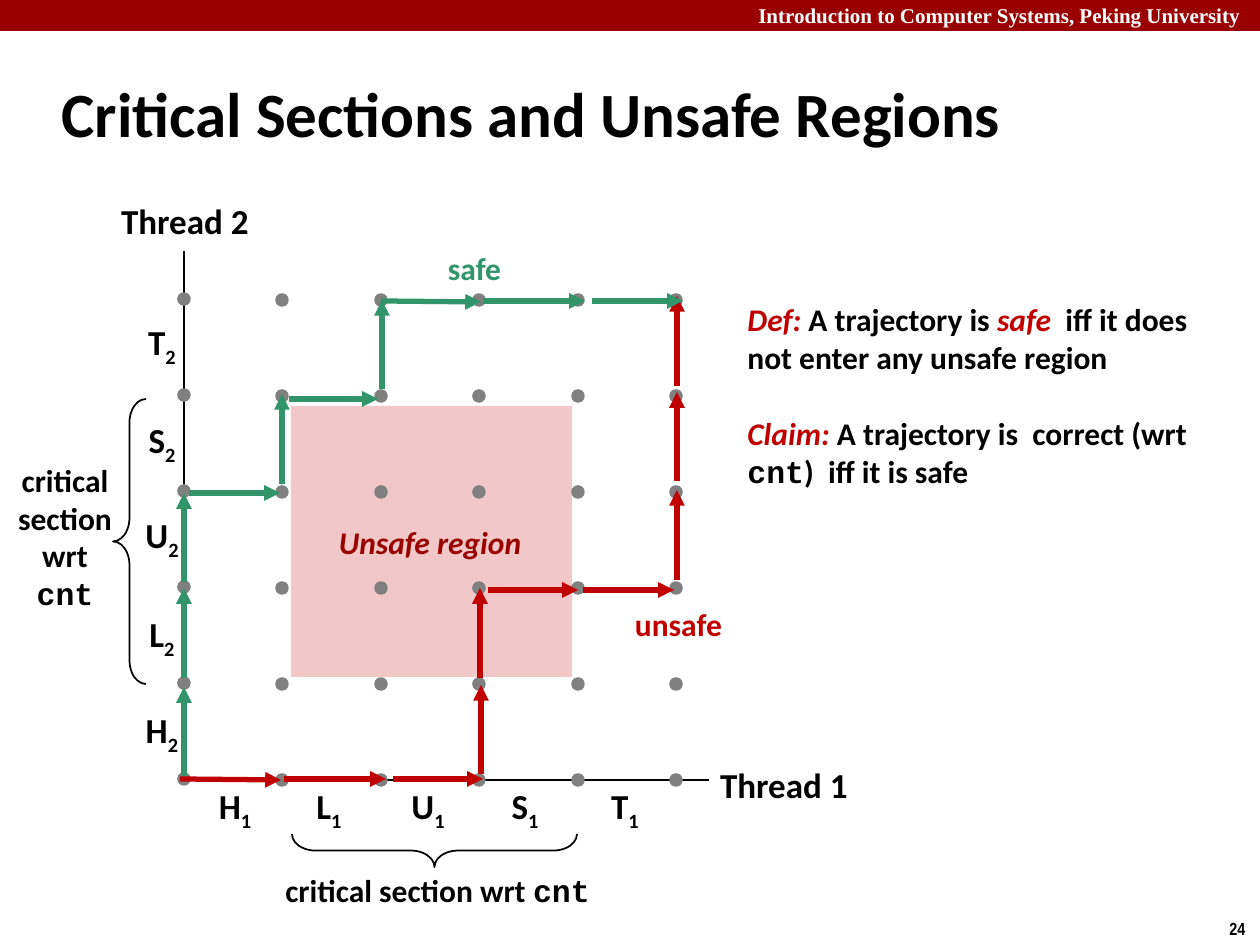
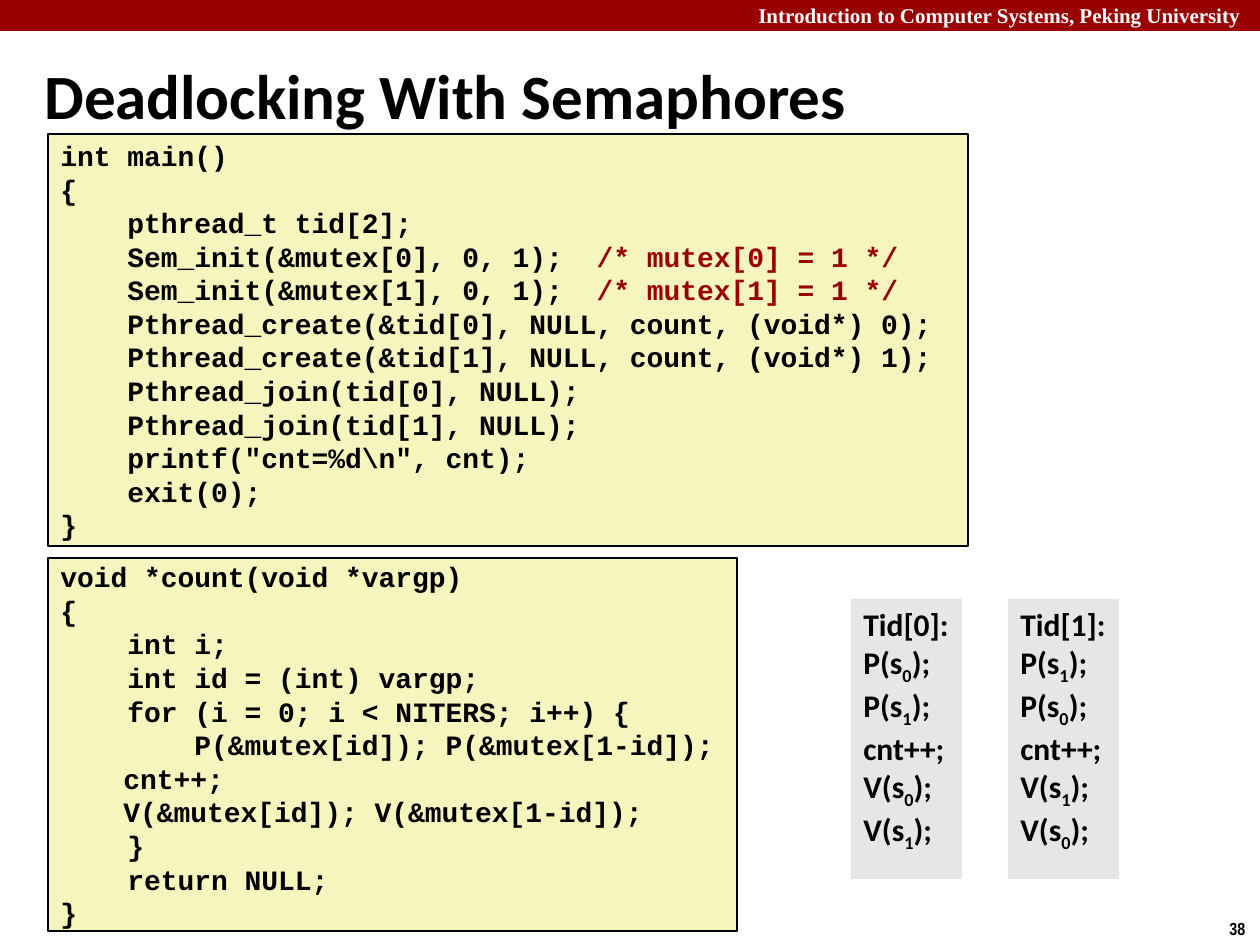
import dataclasses
import pptx
import pptx.util
import pptx.dml.color
import pptx.enum.shapes
import pptx.enum.text
import pptx.oxml
import pptx.oxml.ns
import lxml.etree

SCALE = 914400 / 126
KIND = pptx.enum.shapes.MSO_SHAPE
ALIGN = pptx.enum.text.PP_ALIGN
ANCHOR = pptx.enum.text.MSO_ANCHOR
FIT = pptx.enum.text.MSO_AUTO_SIZE


@dataclasses.dataclass(frozen=True)
class Theme:
    black: str = "000000"
    white: str = "FFFFFF"
    band: str = "990000"
    red: str = "C00000"
    green: str = "32946A"
    dot: str = "808080"
    zone: str = "F1C7C7"
    code: str = "F6F5BD"
    card: str = "E6E6E6"
    sans: str = "Calibri"
    mono: str = "Courier New"
    serif: str = "Times New Roman"
    thin: str = "Arial Narrow"
    title: int = 36
    label: int = 20
    body: int = 18
    list: int = 16
    head: int = 12
    page: int = 10


T = Theme()
BASE = {"name": T.sans, "size": T.body, "bold": True, "color": T.black}
MONO = {"name": T.mono}
SUB = {"base": -25000}
TERM = {"color": T.red, "italic": True}

MAIN = [
    "int main()",
    "{",
    "    pthread_t tid[2];",
    "    Sem_init(&mutex[0], 0, 1);  /* mutex[0] = 1 */",
    "    Sem_init(&mutex[1], 0, 1);  /* mutex[1] = 1 */",
    "    Pthread_create(&tid[0], NULL, count, (void*) 0);",
    "    Pthread_create(&tid[1], NULL, count, (void*) 1);",
    "    Pthread_join(tid[0], NULL);",
    "    Pthread_join(tid[1], NULL);",
    "    printf(\"cnt=%d\\n\", cnt);",
    "    exit(0);",
    "}",
]
COUNT = [
    "void *count(void *vargp)",
    "{",
    "    int i;",
    "    int id = (int) vargp;",
    "    for (i = 0; i < NITERS; i++) {",
    "        P(&mutex[id]); P(&mutex[1-id]);",
    "\tcnt++;",
    "\tV(&mutex[id]); V(&mutex[1-id]);",
    "    }",
    "    return NULL;",
    "}",
]
UNSAFE = [
    (180, 779, 281, 780), (284, 779, 386, 779), (393, 779, 483, 779),
    (481, 774, 481, 685), (480, 678, 480, 588), (488, 590, 578, 590),
    (583, 590, 674, 590), (677, 580, 677, 490), (677, 481, 677, 392),
    (677, 386, 677, 296),
]
SAFE = [
    (184, 776, 184, 687), (184, 678, 184, 588), (184, 582, 184, 493),
    (189, 493, 280, 493), (282, 484, 282, 394), (289, 399, 378, 399),
    (382, 389, 382, 300), (381, 301, 481, 302), (483, 301, 585, 301),
    (592, 301, 683, 301),
]


def px(*nums):
    return [round(n * SCALE) for n in nums]


def rgb(code):
    return pptx.dml.color.RGBColor.from_string(code)


def apply(item, look):
    for key, val in look.items():
        setattr(item, key, val)


def ink(run, look):
    look = {**BASE, **look}
    run.font.color.rgb = rgb(look.pop("color"))
    base = look.pop("base", None)
    look["size"] = pptx.util.Pt(look["size"])
    apply(run.font, look)
    if base:
        run._r.get_or_add_rPr().set("baseline", str(base))


def write(shape, paras, look={}, frame={}, para={}, gap=0):
    text = shape.text_frame
    apply(text, {"word_wrap": True, "vertical_anchor": ANCHOR.TOP, **frame})
    for num, runs in enumerate(paras):
        line = text.add_paragraph() if num else text.paragraphs[0]
        apply(line, {"alignment": ALIGN.LEFT, **para})
        if num and gap:
            line.space_before = pptx.util.Pt(gap)
        for words, extra in runs:
            run = line.add_run()
            run.text = words
            ink(run, {**look, **extra})


def block(shapes, kind, at, fill=None, edge=None, width=1):
    shape = shapes.add_shape(kind, *px(*at))
    shape.shadow.inherit = False
    if fill:
        shape.fill.solid()
        shape.fill.fore_color.rgb = rgb(fill)
    else:
        shape.fill.background()
    if edge:
        shape.line.color.rgb = rgb(edge)
        shape.line.width = pptx.util.Pt(width)
    else:
        shape.line.fill.background()
    return shape


def note(slide, at, runs, look={}, **para):
    box = slide.shapes.add_textbox(*px(*at))
    frame = {"vertical_anchor": ANCHOR.MIDDLE}
    write(box, [runs], look, frame, para)
    return box


def tag(slide, at, runs, look={}):
    box = note(slide, at, runs, look, alignment=ALIGN.CENTER)
    apply(box.text_frame, {"word_wrap": False, "auto_size": FIT.SHAPE_TO_FIT_TEXT})


def stroke(slide, ends, color=T.black, width=1, arrow=False):
    line = slide.shapes.add_connector(
        pptx.enum.shapes.MSO_CONNECTOR.STRAIGHT, *px(*ends))
    line.line.color.rgb = rgb(color)
    line.line.width = pptx.util.Pt(width)
    qn = pptx.oxml.ns.qn
    if arrow:
        edge = line.line._get_or_add_ln()
        lxml.etree.SubElement(edge, qn("a:tailEnd")).set("type", "triangle")
    lxml.etree.SubElement(line._element.spPr, qn("a:effectLst"))


def brace(slide, at, turn=0):
    shape = block(slide.shapes, KIND.LEFT_BRACE, at, edge=T.black)
    shape.adjustments[0] = 0.715
    shape.rotation = turn


def dots(slide):
    for col in range(6):
        group = slide.shapes.add_group_shape().shapes
        base = 775 if col else 774
        for row in range(6):
            at = (179 + 197 * col // 2, base - 96 * row, 10, 10)
            block(group, KIND.OVAL, at, T.dot, T.dot, 2)


def code(slide, at, lines):
    box = block(slide.shapes, KIND.RECTANGLE, at, T.code, T.black)
    paras = []
    for line in lines:
        left, mark, right = line.partition("/*")
        runs = [(left, {})]
        if mark:
            runs.append((mark + right, {"color": T.band}))
        paras.append(runs)
    frame = {"vertical_anchor": ANCHOR.MIDDLE, "margin_top": 0, "margin_bottom": 0}
    write(box, paras, {**MONO, "size": T.list}, frame)


def card(slide, left, one, two):
    def call(name, num):
        return [(f"{name}(s", {}), (str(num), SUB), (");", {})]

    box = block(slide.shapes, KIND.RECTANGLE, (left, 599, 111, 280), T.card)
    write(box, [[(f"Tid[{one}]:", {})], call("P", one), call("P", two),
                [("cnt++;", {})], call("V", one), call("V", two)])


def start(deck, title, at, page):
    slide = deck.slides.add_slide(deck.slide_layouts[6])
    block(slide.shapes, KIND.RECTANGLE, (0, 0, 1260, 31), T.band)
    note(slide, (746, 0, 514, 31),
         [("Introduction to Computer Systems, Peking University", {})],
         {"name": T.serif, "size": T.head, "color": T.white})
    note(slide, (1217, 911, 43, 34), [(page, {})],
         {"name": T.thin, "size": T.page})
    note(slide, (*at, 1046, 105), [(title, {})], {"size": T.title})
    return slide


def axes(slide):
    big = {"size": T.label}
    stroke(slide, (184, 780, 709, 780))
    stroke(slide, (184, 780, 184, 251))
    for name, x, y in zip("HLUST", (235, 329, 428, 525, 625),
                          (732, 636, 537, 442, 344)):
        tag(slide, (x - 30, 781, 60, 55), [(name, {}), ("1", SUB)], big)
        tag(slide, (132, y - 27, 60, 55), [(name, {}), ("2", SUB)], big)
    tag(slide, (707, 757, 154, 55), [("Thread 1", {})], big)
    tag(slide, (108, 193, 154, 55), [("Thread 2", {})], big)


def regions(deck):
    slide = start(deck, "Critical Sections and Unsafe Regions", (49, 60), "24")
    block(slide.shapes, KIND.RECTANGLE, (291, 406, 281, 271), T.zone)
    axes(slide)
    dots(slide)
    brace(slide, (113, 399, 33, 285))
    brace(slide, (418, 708, 33, 285), 270)
    where = [("critical section wrt ", {}), ("cnt", MONO)]
    tag(slide, (271, 864, 333, 51), where)
    note(slide, (0, 454, 130, 165), where, alignment=ALIGN.CENTER)
    tag(slide, (325, 517, 210, 50), [("Unsafe region", {})],
        {"color": T.band, "italic": True})
    rule = slide.shapes.add_textbox(*px(735, 300, 483, 229))
    write(rule, [
        [("Def: ", TERM), ("A trajectory is ", {}), ("safe  ", TERM),
         ("iff it does not enter any unsafe region", {})],
        [("Claim: ", TERM), ("A trajectory is  correct (wrt ", {}),
         ("cnt", MONO), (")  iff it is safe", {})],
    ], frame={"margin_top": 0, "margin_bottom": 0}, gap=22)
    for route, color in ((UNSAFE, T.red), (SAFE, T.green)):
        for ends in route:
            stroke(slide, ends, color, 3, True)
    tag(slide, (622, 599, 113, 50), [("unsafe", {})], {"color": T.red})
    tag(slide, (435, 243, 79, 50), [("safe", {})], {"color": T.green})


def deadlock(deck):
    slide = start(deck, "Deadlocking With Semaphores", (32, 42), "38")
    code(slide, (48, 134, 920, 412), MAIN)
    code(slide, (48, 558, 689, 373), COUNT)
    card(slide, 851, 0, 1)
    card(slide, 1008, 1, 0)


def main():
    deck = pptx.Presentation()
    deck.slide_width, deck.slide_height = px(1260, 945)
    regions(deck)
    deadlock(deck)
    deck.save("out.pptx")


if __name__ == "__main__":
    main()
